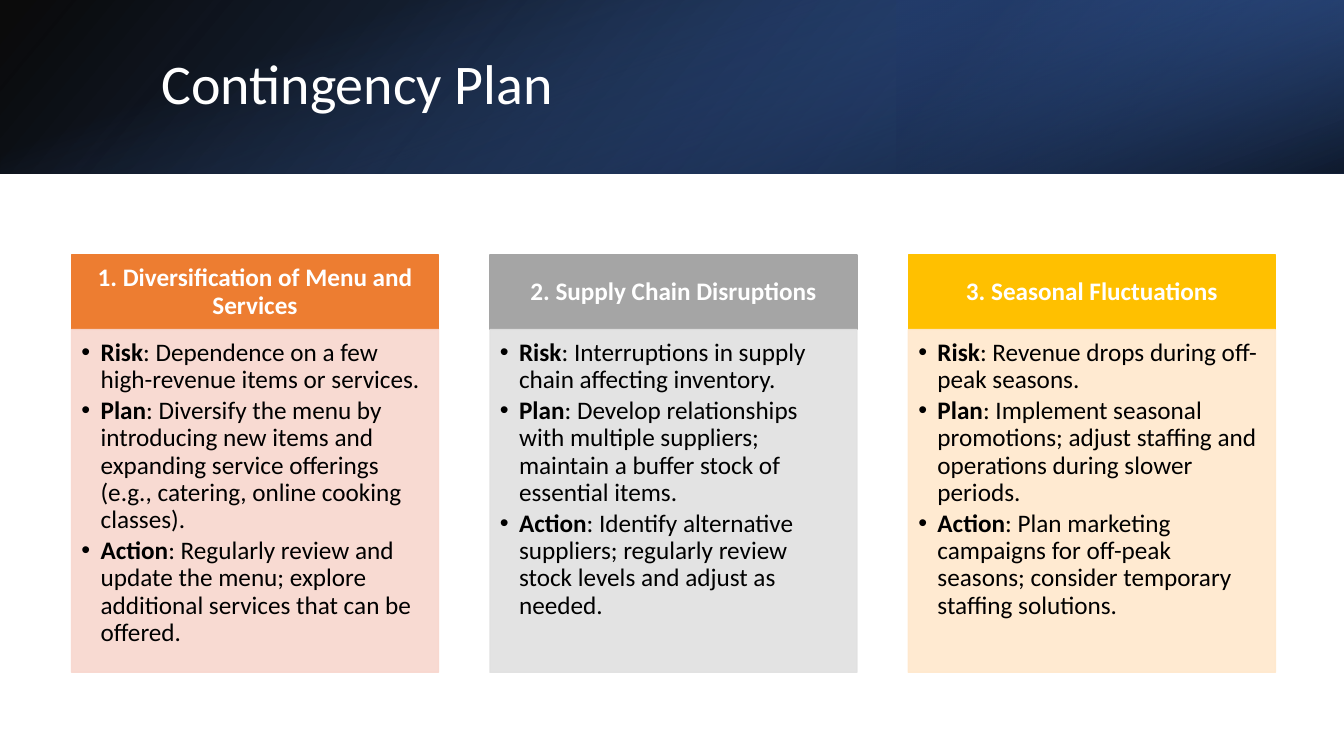
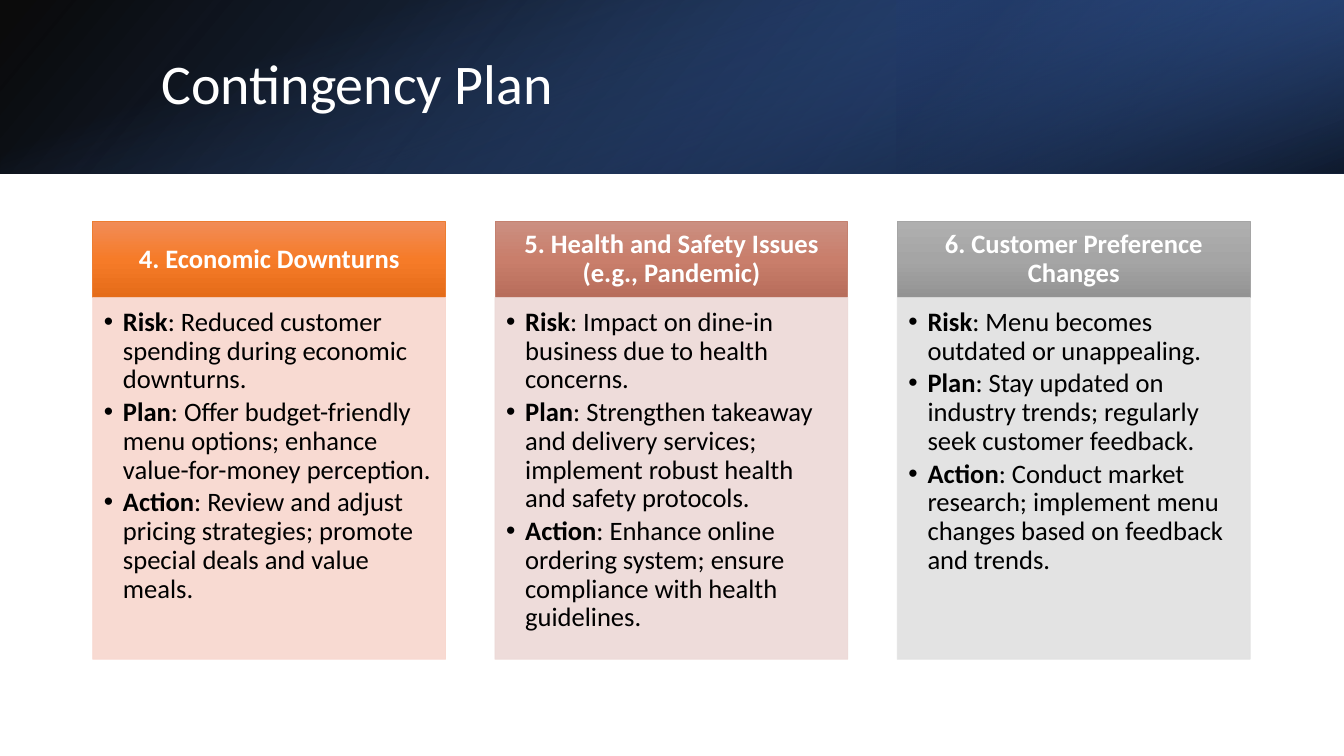
from lxml import etree
from pptx import Presentation
from pptx.dml.color import RGBColor
from pptx.enum import shapes, text
from pptx.oxml import ns
from pptx.util import Inches, Pt

FONT = "Calibri"
TITLE = "Contingency Plan"
WIDE, HIGH, BAND = 13.33, 7.5, 1.72

BANDS = [
    dict(at=(0, 0, WIDE, BAND), turn=0, flip=True, ang=140,
         stops=[(0, "000000", 96), (100, "2F5597", 100)]),
    dict(at=(8.89, 0, 4.44, BAND), turn=180, flip=True, ang=320,
         stops=[(19, "203864", 68), (100, "4472C4", 79)]),
    dict(at=((WIDE - BAND) / 2, (BAND - WIDE) / 2, BAND, WIDE), turn=90,
         flip=False, ang=340,
         stops=[(23, "4472C4", 0), (99, "000000", 74)]),
]

PLANS = [
    dict(left=0.71, top=2.53, wide=3.64, step=4.15, head=0.74, body=3.4,
         size=18, line=1, pads=(0.1, 0.1, 0.14, 0.16), cards=[
        ("1. Diversification of Menu and Services", ["ED7D31"], "ED7D31", "F8D7CE",
         "Dependence on a few high-revenue items or services.",
         "Diversify the menu by introducing new items and expanding service "
         "offerings (e.g., catering, online cooking classes).",
         "Regularly review and update the menu; explore additional services "
         "that can be offered."),
        ("2. Supply Chain Disruptions", ["A5A5A5"], "A5A5A5", "E1E1E1",
         "Interruptions in supply chain affecting inventory.",
         "Develop relationships with multiple suppliers; maintain a buffer "
         "stock of essential items.",
         "Identify alternative suppliers; regularly review stock levels and "
         "adjust as needed."),
        ("3. Seasonal Fluctuations", ["FFC000"], "FFC000", "FFE8CC",
         "Revenue drops during off-peak seasons.",
         "Implement seasonal promotions; adjust staffing and operations "
         "during slower periods.",
         "Plan marketing campaigns for off-peak seasons; consider temporary "
         "staffing solutions."),
    ]),
    dict(left=0.92, top=2.2, wide=3.5, step=3.99, head=0.75, body=3.59,
         size=19, line=0.5, pads=(0.11, 0.11, 0.14, 0.17), cards=[
        ("4. Economic Downturns", ["F18C57", "F67B28", "E56C19"], "ED7D31", "F8D7CE",
         "Reduced customer spending during economic downturns.",
         "Offer budget-friendly menu options; enhance value-for-money perception.",
         "Review and adjust pricing strategies; promote special deals and "
         "value meals."),
        ("5. Health and Safety Issues (e.g., Pandemic)",
         ["CB8F81", "C97E6B", "B76D5B"], "C48170", "EDD9D7",
         "Impact on dine-in business due to health concerns.",
         "Strengthen takeaway and delivery services; implement robust health "
         "and safety protocols.",
         "Enhance online ordering system; ensure compliance with health guidelines."),
        ("6. Customer Preference Changes",
         ["AFAFAF", "A5A5A5", "939393"], "A5A5A5", "E1E1E1",
         "Menu becomes outdated or unappealing.",
         "Stay updated on industry trends; regularly seek customer feedback.",
         "Conduct market research; implement menu changes based on feedback "
         "and trends."),
    ]),
]


def rgb(code):
    return RGBColor.from_string(code)


def sub(node, tag, **attrs):
    return etree.SubElement(node, ns.qn(tag), **attrs)


def fade(fill, alpha):
    for color in fill.iter(ns.qn("a:srgbClr")):
        sub(color, "a:alpha", val=str(alpha * 1000))


def blend(shape, stops, ang):
    grad = etree.Element(ns.qn("a:gradFill"), rotWithShape="1")
    items = sub(grad, "a:gsLst")
    for pos, code, alpha in stops:
        stop = sub(items, "a:gs", pos=str(pos * 1000))
        color = sub(stop, "a:srgbClr", val=code)
        if alpha < 100:
            sub(color, "a:alpha", val=str(alpha * 1000))
    sub(grad, "a:lin", ang=str(ang * 60000), scaled="0")
    shape._element.spPr.find(ns.qn("a:prstGeom")).addnext(grad)


def rect(slide, at):
    shape = slide.shapes.add_shape(shapes.MSO_SHAPE.RECTANGLE, *map(Inches, at))
    shape.shadow.inherit = False
    return shape


def paint(shape, code):
    shape.fill.solid()
    shape.fill.fore_color.rgb = rgb(code)


def edge(shape, code, width):
    shape.line.color.rgb = rgb(code)
    shape.line.width = Pt(width)


def style(run, size, code, bold=False):
    font = run.font
    font.name, font.size, font.bold = FONT, Pt(size), bold
    font.color.rgb = rgb(code)


def frame(shape, pads, anchor):
    box = shape.text_frame
    box.word_wrap = True
    box.vertical_anchor = anchor
    (box.margin_left, box.margin_top,
     box.margin_right, box.margin_bottom) = map(Inches, pads)
    return box


def band(slide, at, turn, flip, ang, stops):
    shape = rect(slide, at)
    shape.rotation = turn
    if flip:
        shape._element.spPr.xfrm.set("flipH", "1")
    blend(shape, stops, ang)
    shape.line.fill.background()


def header(slide):
    for item in BANDS:
        band(slide, **item)
    title = slide.shapes.title
    slide.shapes._spTree.append(title._element)
    title.left, title.top, title.width, title.height = map(
        Inches, (1.5, 0.38, 10.98, 0.96))
    box = frame(title, (0.1, 0.05, 0.1, 0.05), text.MSO_ANCHOR.MIDDLE)
    box.auto_size = text.MSO_AUTO_SIZE.NONE
    box.text = TITLE
    para = box.paragraphs[0]
    para.alignment = text.PP_ALIGN.LEFT
    para.line_spacing = 0.9
    style(para.runs[0], 40, "FFFFFF")


def heading(slide, plan, left, words, fills, border):
    shape = rect(slide, (left, plan["top"], plan["wide"], plan["head"]))
    if len(fills) == 1:
        paint(shape, fills[0])
    else:
        blend(shape, [(50 * i, code, 100) for i, code in enumerate(fills)], 90)
    edge(shape, border, plan["line"])
    side = plan["pads"][2]
    box = frame(shape, (side, 0.08, side, 0.08), text.MSO_ANCHOR.MIDDLE)
    box.text = words
    para = box.paragraphs[0]
    para.alignment = text.PP_ALIGN.CENTER
    para.line_spacing = 0.9
    style(para.runs[0], plan["size"], "FFFFFF", True)


def details(slide, plan, left, tint, notes):
    shape = rect(slide, (left, plan["top"] + plan["head"], plan["wide"], plan["body"]))
    paint(shape, tint)
    edge(shape, tint, plan["line"])
    fade(shape._element.spPr, 90)
    box = frame(shape, plan["pads"], text.MSO_ANCHOR.TOP)
    for i, (label, note) in enumerate(zip(("Risk", "Plan", "Action"), notes)):
        para = box.add_paragraph() if i else box.paragraphs[0]
        para.alignment = text.PP_ALIGN.LEFT
        para.line_spacing = 0.9
        para.space_after = Pt(0.15 * plan["size"])
        props = para._p.get_or_add_pPr()
        props.set("marL", str(Inches(0.19)))
        props.set("indent", str(-Inches(0.19)))
        sub(props, "a:buFont", typeface="Arial")
        sub(props, "a:buChar", char="•")
        for words, bold in ((label, True), (": " + note, False)):
            run = para.add_run()
            run.text = words
            style(run, plan["size"], "000000", bold)


def main():
    deck = Presentation()
    deck.slide_width, deck.slide_height = Inches(WIDE), Inches(HIGH)
    for plan in PLANS:
        slide = deck.slides.add_slide(deck.slide_layouts[5])
        header(slide)
        for i, (words, fills, border, tint, *notes) in enumerate(plan["cards"]):
            left = plan["left"] + i * plan["step"]
            heading(slide, plan, left, words, fills, border)
            details(slide, plan, left, tint, notes)
    deck.save("out.pptx")


if __name__ == "__main__":
    main()
